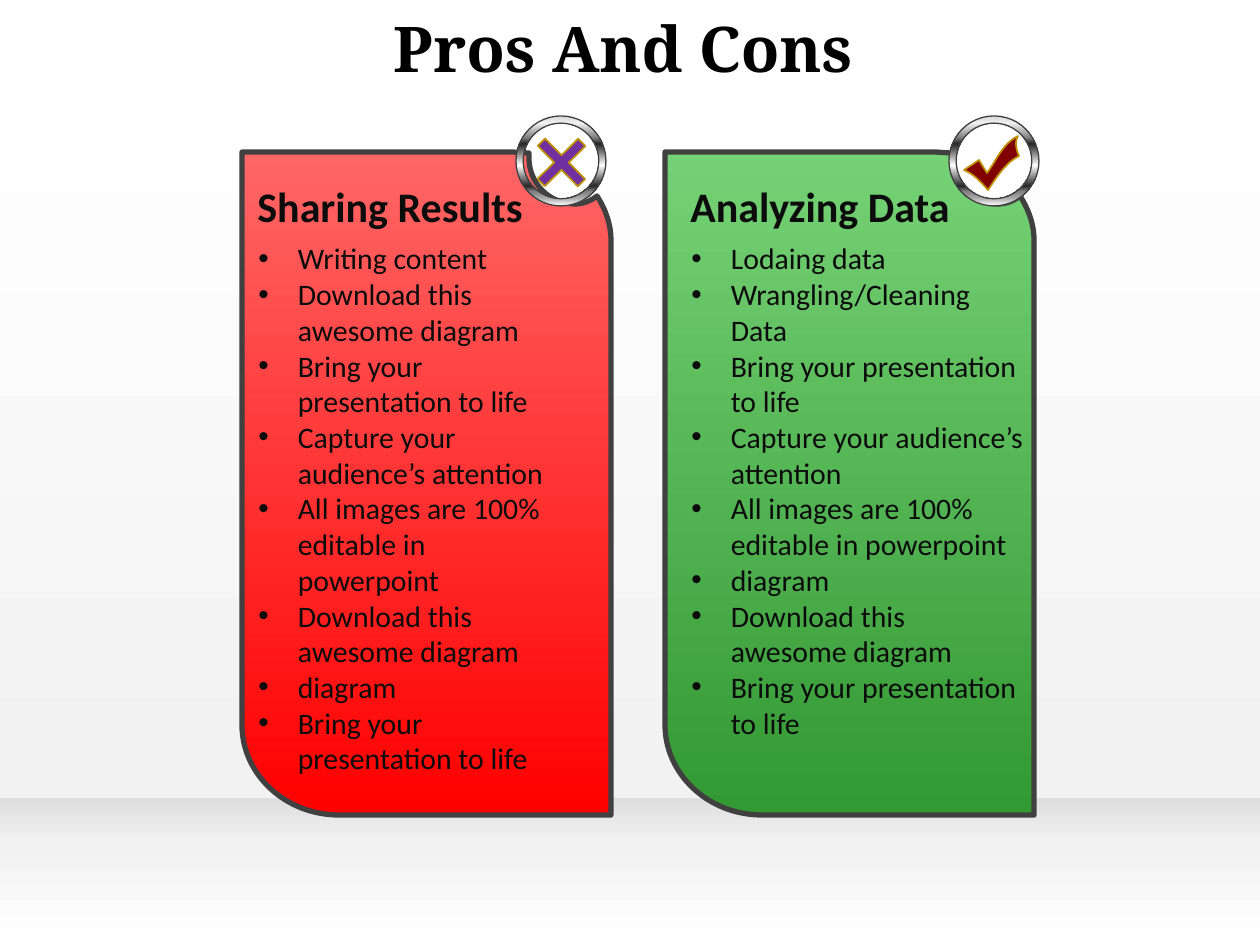
from typing import NamedTuple

from lxml import etree
from pptx import Presentation
from pptx.dml.color import RGBColor
from pptx.enum.shapes import MSO_SHAPE as Shape
from pptx.enum.text import MSO_AUTO_SIZE as AutoSize, PP_ALIGN as Align
from pptx.oxml.ns import qn
from pptx.util import Emu, Pt

SCALE = 914400 / 126  # EMU per px
INK = "0C0C0C"
GOLD = "BF9000"
CHARCOAL = "404040"
FLOOR = [(1, "FFFFFF"), (66, "F2F2F2"), (100, "D9D9D9")]
WALL = [(1, "FFFFFF"), (100, "F2F2F2")]
CHROME = [(0, "F2F2F2"), (1, "D9D9D9"), (8, "F2F2F2"), (24, "808080"),
          (31, "262626"), (55, "FFFFFF"), (78, "262626"), (84, "808080"),
          (91, "A6A6A6"), (100, "FFFFFF")]

# Outlines from 0, 0: a 2-tuple is a line to a point, a 6-tuple a Bézier curve
PANEL = [(0, 0), (267, 0), (275, 0, 282, 1, 287, 1), (287, 6),
         (287, 31, 307, 52, 333, 52), (341, 52, 349, 49, 355, 44),
         (364, 58, 369, 73, 369, 88), (369, 663), (97, 663),
         (43, 663, 0, 622, 0, 573)]
TICK = [(23, 37), (33, 24, 38, 8, 54, 0), (50, 6, 53, 16, 55, 20),
        (42, 26, 32, 42, 24, 54), (18, 47, 10, 38, 0, 34), (15, 24)]


class Box(NamedTuple):
    x: int
    y: int
    w: int
    h: int


class Column(NamedTuple):
    x: int
    stops: list
    heading: str
    heading_box: Box
    items: list
    list_box: Box
    ring_x: int


COLUMNS = [
    Column(242, [(0, "FF6666"), (100, "FF0000")],
           "Sharing Results", Box(245, 174, 333, 63),
           ["Writing content", "Download this awesome diagram",
            "Bring your presentation to life",
            "Capture your audience’s attention",
            "All images are 100% editable in powerpoint",
            "Download this awesome diagram", "diagram",
            "Bring your presentation to life"],
           Box(246, 234, 333, 553), 516),
    Column(665, [(0, "75D175"), (100, "339933")],
           "Analyzing Data", Box(678, 174, 290, 63),
           ["Lodaing data", "Wrangling/Cleaning Data",
            "Bring your presentation to life",
            "Capture your audience’s attention",
            "All images are 100% editable in powerpoint", "diagram",
            "Download this awesome diagram",
            "Bring your presentation to life"],
           Box(679, 234, 360, 518), 949),
]


def px(n: float) -> Emu:
    return Emu(round(n * SCALE))


def rgb(color: str) -> RGBColor:
    return RGBColor.from_string(color)


def paint(sp, fill, line: str | None = None, width: float = 1, angle: int = 90):
    """Fill with one colour or a list of gradient stops, then set the outline."""
    sp.shadow.inherit = False
    if isinstance(fill, str):
        sp.fill.solid()
        sp.fill.fore_color.rgb = rgb(fill)
    else:
        sp.fill.gradient()
        grad = sp._element.spPr.find(qn("a:gradFill"))
        for child in list(grad):
            grad.remove(child)
        stops = etree.SubElement(grad, qn("a:gsLst"))
        for pos, color in fill:
            stop = etree.SubElement(stops, qn("a:gs"), pos=str(pos * 1000))
            etree.SubElement(stop, qn("a:srgbClr"), val=color)
        etree.SubElement(grad, qn("a:lin"), ang=str(angle * 60000), scaled="0")
    if line:
        sp.line.color.rgb = rgb(line)
        sp.line.width = Pt(width)
    else:
        sp.line.fill.background()


def add_preset(s, kind, box: Box):
    return s.shapes.add_shape(kind, *map(px, box))


def add_outline(s, x: int, y: int, outline: list):
    """Draw a closed outline with its origin at x, y."""
    ends = [(px(x + seg[-2]), px(y + seg[-1])) for seg in outline]
    builder = s.shapes.build_freeform(*ends[0])
    builder.add_line_segments(ends[1:], close=True)
    sp = builder.convert_to_shape()
    # Turn the straight segments that should bend into Bézier curves
    lines = list(sp._element.iter(qn("a:lnTo")))
    for seg, line in zip(outline[1:], lines):
        if len(seg) == 6:
            curve = etree.Element(qn("a:cubicBezTo"))
            for u, v in zip(seg[::2], seg[1::2]):
                etree.SubElement(curve, qn("a:pt"), x=str(px(u)), y=str(px(v)))
            line.getparent().replace(line, curve)
    return sp


def add_text(s, box: Box, lines: list, size: int, bold: bool = False,
             font: str = "Calibri", color: str = INK,
             align=Align.LEFT, bullets: bool = False):
    tf = s.shapes.add_textbox(*map(px, box)).text_frame
    tf.word_wrap = True
    tf.auto_size = AutoSize.SHAPE_TO_FIT_TEXT
    for i, line in enumerate(lines):
        p = tf.paragraphs[0] if i == 0 else tf.add_paragraph()
        p.alignment = align
        r = p.add_run()
        r.text = line
        for name, value in {"size": Pt(size), "bold": bold, "name": font}.items():
            setattr(r.font, name, value)
        r.font.color.rgb = rgb(color)
        if bullets:
            pPr = p._p.get_or_add_pPr()
            pPr.set("marL", "285750")
            pPr.set("indent", "-285750")
            etree.SubElement(pPr, qn("a:buFont"), typeface="Arial")
            etree.SubElement(pPr, qn("a:buChar"), char="•")


def add_column(s, col: Column):
    paint(add_outline(s, col.x, 152, PANEL), col.stops, CHARCOAL, 3)
    add_text(s, col.heading_box, [col.heading], 24, bold=True)
    add_text(s, col.list_box, col.items, 17, bullets=True)
    ring = add_preset(s, Shape.DONUT, Box(col.ring_x, 116, 90, 90))
    ring.adjustments[0] = 0.08
    paint(ring, CHROME, CHARCOAL, 0.75)


def main():
    prs = Presentation()
    prs.slide_width, prs.slide_height = px(1260), px(945)
    s = prs.slides.add_slide(prs.slide_layouts[6])

    # Backdrop
    paint(add_preset(s, Shape.RECTANGLE, Box(0, 788, 1260, 157)), FLOOR, angle=270)
    paint(add_preset(s, Shape.RECTANGLE, Box(0, 87, 1260, 711)), WALL)

    # Columns with their badges
    for col in COLUMNS:
        add_column(s, col)

    # Badge marks
    cross = add_preset(s, Shape.CROSS, Box(533, 134, 57, 57))
    cross.adjustments[0] = 0.41
    cross.rotation = 315.4
    paint(cross, "7030A0", GOLD)
    paint(add_outline(s, 964, 136, TICK), "800000", GOLD)

    # Title
    add_text(s, Box(3, 3, 1256, 89), ["Pros And Cons "], 36, bold=True,
             font="Noto Serif", color="000000", align=Align.CENTER)
    prs.save("out.pptx")


if __name__ == "__main__":
    main()
